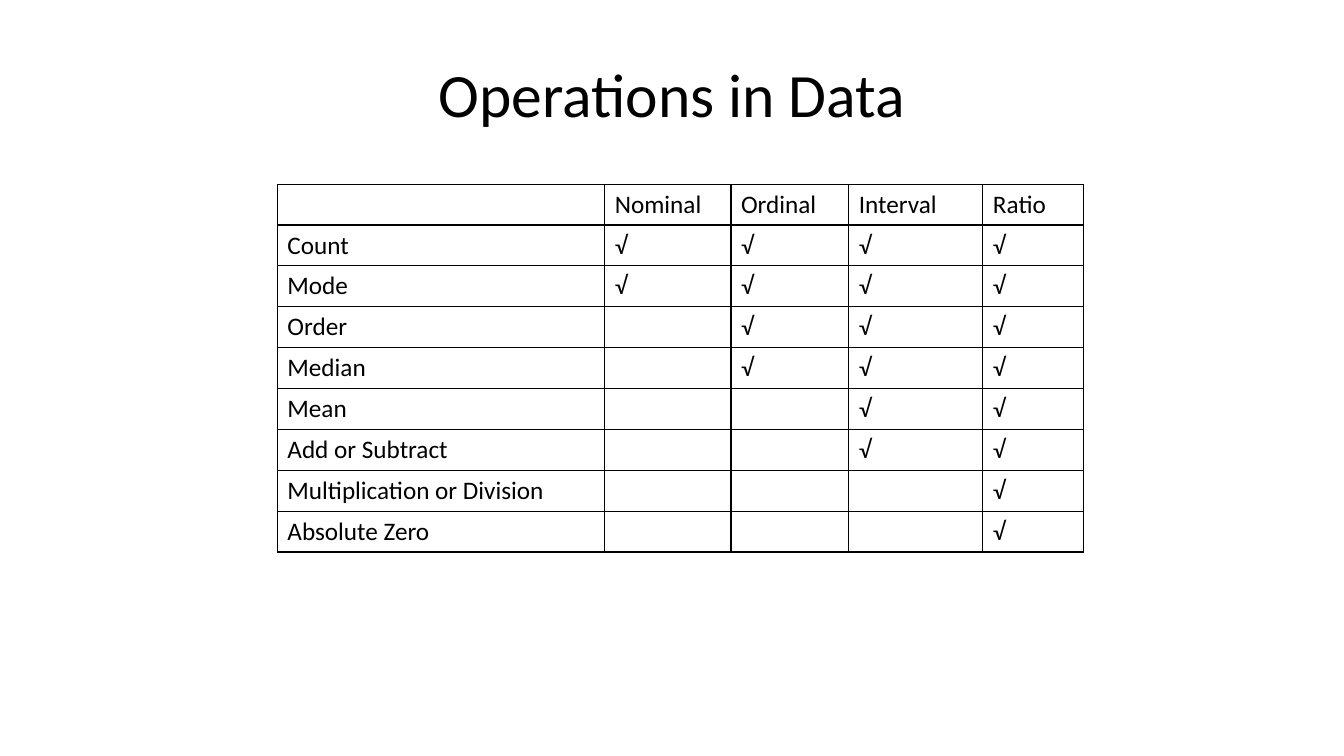
from dataclasses import dataclass

from lxml import etree
from pptx import Presentation
from pptx.dml.color import RGBColor
from pptx.enum.text import MSO_ANCHOR, MSO_AUTO_SIZE, PP_ALIGN
from pptx.oxml.ns import qn
from pptx.util import Cm, Pt

CENTER = PP_ALIGN.CENTER
MIDDLE = MSO_ANCHOR.MIDDLE
NO_AUTOFIT = MSO_AUTO_SIZE.NONE
TITLE_ONLY = 5


@dataclass(frozen=True)
class Theme:
    font: str = "Calibri"
    ink: str = "000000"
    title_size: int = 44
    table_size: int = 18
    border_width: int = 1


THEME = Theme()
CHECK = "√"
SCALES = ["Nominal", "Ordinal", "Interval", "Ratio"]
# Each operation with the first scale that allows it; all later scales do too
OPERATIONS = [
    ("Count", "Nominal"),
    ("Mode", "Nominal"),
    ("Order", "Ordinal"),
    ("Median", "Ordinal"),
    ("Mean", "Interval"),
    ("Add or Subtract", "Interval"),
    ("Multiplication or Division", "Ratio"),
    ("Absolute Zero", "Ratio"),
]
COLUMN_WIDTHS = [8.25, 3.18, 2.97, 3.38, 2.54]
ROW_HEIGHT = 1.03


def add_run(paragraph, text, size):
    run = paragraph.add_run()
    run.text = text
    run.font.name = THEME.font
    run.font.size = Pt(size)
    run.font.color.rgb = RGBColor.from_string(THEME.ink)


def set_title(slide, text):
    title = slide.shapes.title
    title.left, title.top = Cm(5.51), Cm(0.76)
    title.width, title.height = Cm(22.86), Cm(3.18)
    frame = title.text_frame
    frame.word_wrap = True
    frame.auto_size = NO_AUTOFIT
    frame.vertical_anchor = MIDDLE
    paragraph = frame.paragraphs[0]
    paragraph.alignment = CENTER
    add_run(paragraph, text, THEME.title_size)


def add_borders(cell):
    properties = cell._tc.get_or_add_tcPr()
    for side in ("a:lnL", "a:lnR", "a:lnT", "a:lnB"):
        line = etree.SubElement(properties, qn(side), w=str(Pt(THEME.border_width)))
        fill = etree.SubElement(line, qn("a:solidFill"))
        etree.SubElement(fill, qn("a:srgbClr"), val=THEME.ink)


def format_cell(cell, text):
    add_borders(cell)
    cell.fill.background()
    paragraph = cell.text_frame.paragraphs[0]
    if text:
        add_run(paragraph, text, THEME.table_size)
    else:
        paragraph.font.size = Pt(THEME.table_size)


def operation_rows():
    rows = [["", *SCALES]]
    for operation, first_scale in OPERATIONS:
        start = SCALES.index(first_scale)
        checks = [CHECK if i >= start else "" for i in range(len(SCALES))]
        rows.append([operation, *checks])
    return rows


def add_grid(slide, rows):
    shape = slide.shapes.add_table(
        len(rows), len(COLUMN_WIDTHS), Cm(6.99), Cm(4.64),
        Cm(sum(COLUMN_WIDTHS)), Cm(ROW_HEIGHT * len(rows)))
    table = shape.table
    table.first_row = False
    table.horz_banding = False
    for column, width in zip(table.columns, COLUMN_WIDTHS):
        column.width = Cm(width)
    for table_row, texts in zip(table.rows, rows):
        table_row.height = Cm(ROW_HEIGHT)
        for cell, text in zip(table_row.cells, texts):
            format_cell(cell, text)


def main():
    presentation = Presentation()
    presentation.slide_width, presentation.slide_height = Cm(33.87), Cm(19.05)
    slide = presentation.slides.add_slide(presentation.slide_layouts[TITLE_ONLY])

    # Heading
    set_title(slide, "Operations in Data")

    # Operations allowed on each measurement scale
    add_grid(slide, operation_rows())

    presentation.save("out.pptx")


if __name__ == "__main__":
    main()
